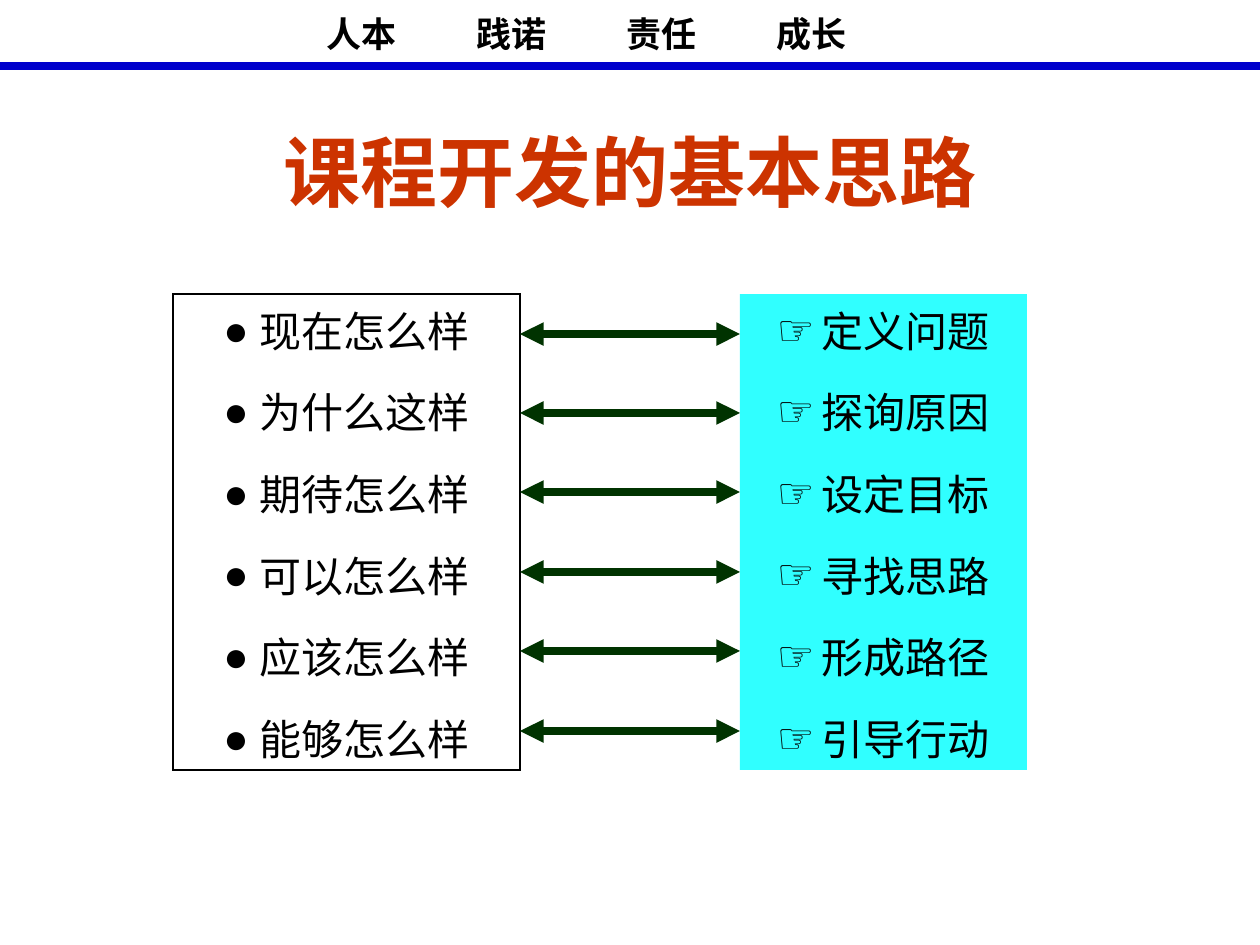
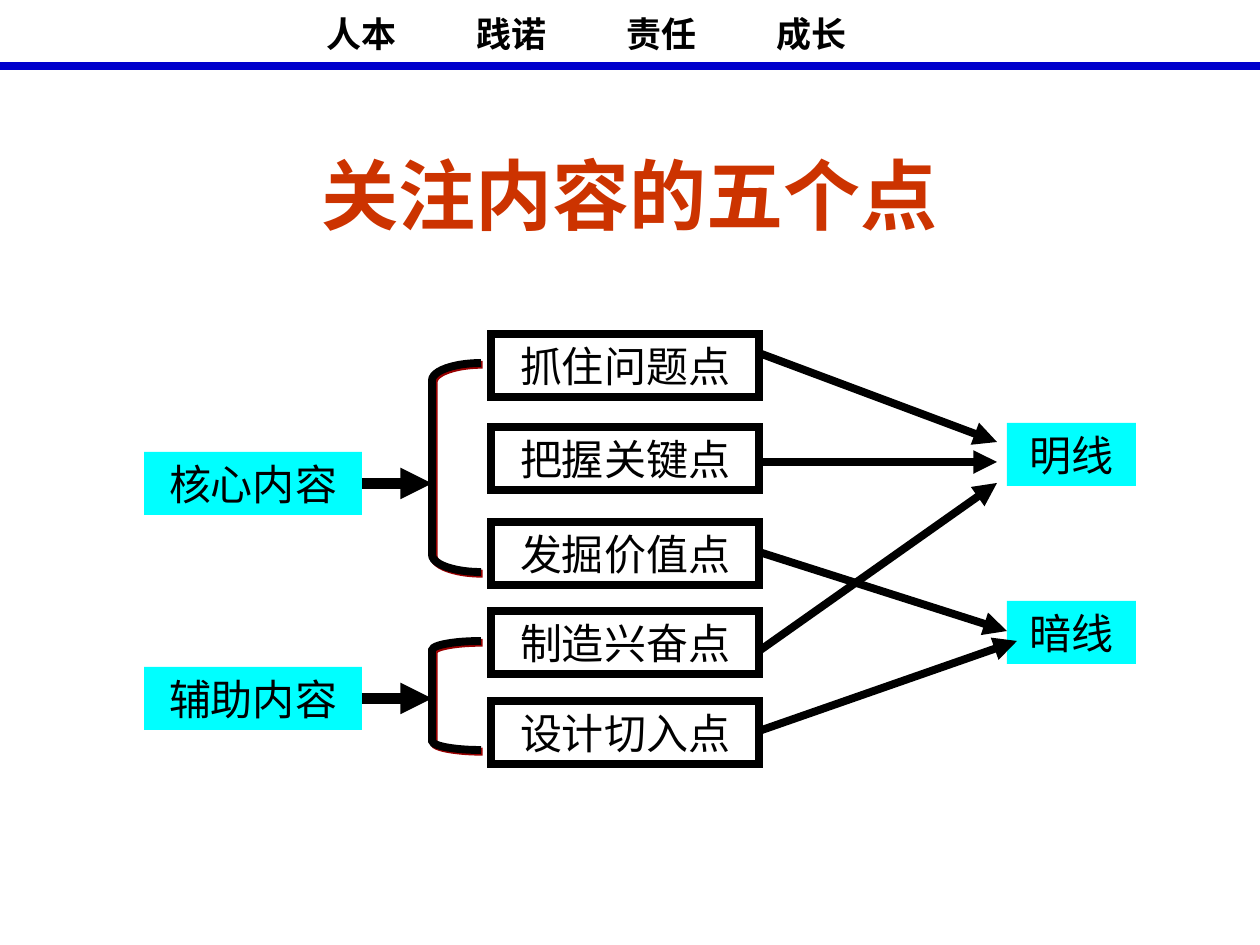
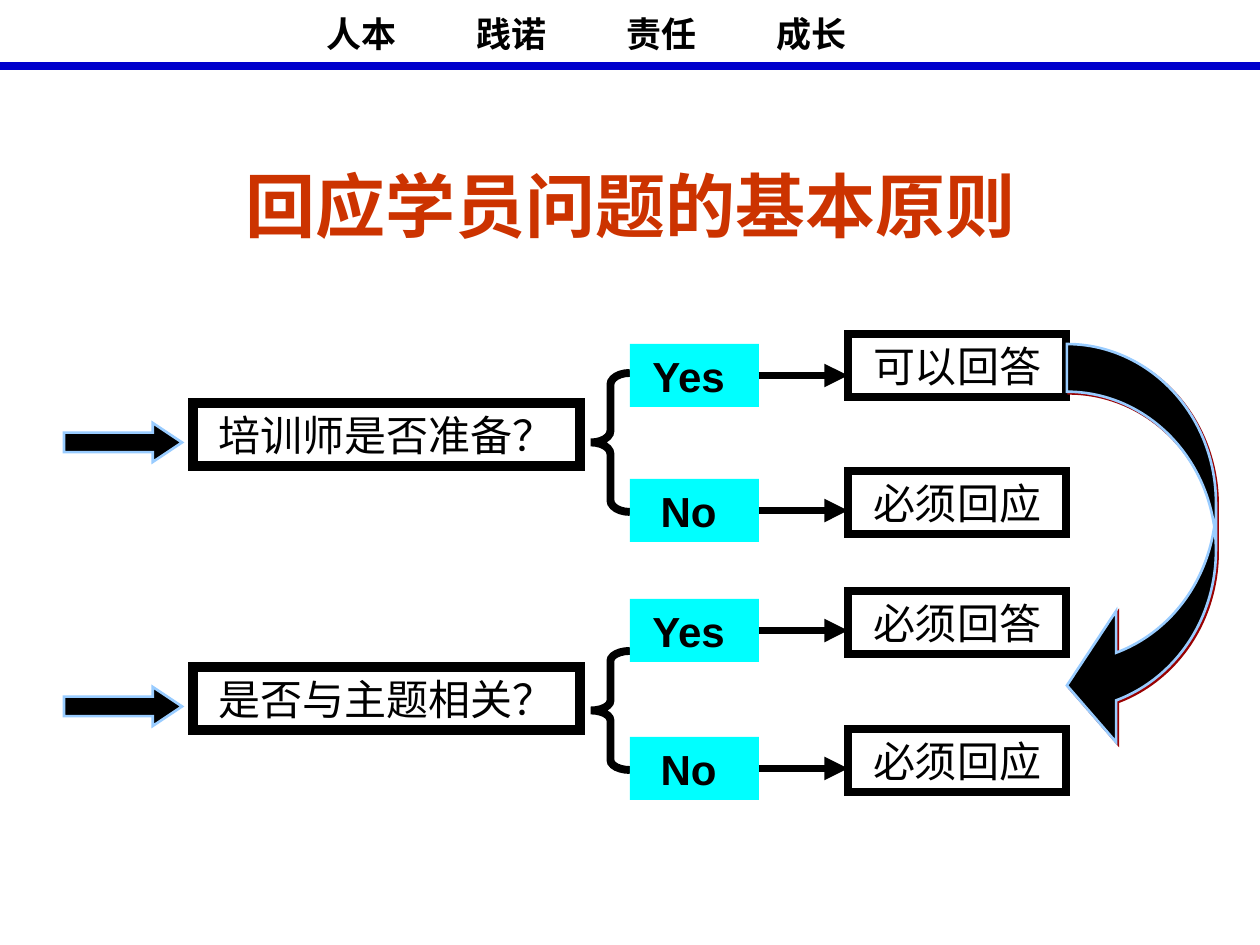
import pptx
import pptx.dml.color
import pptx.enum.shapes
import pptx.enum.text
import pptx.oxml
import pptx.oxml.ns
import pptx.util

KINDS = pptx.enum.shapes.MSO_SHAPE
ALIGN = pptx.enum.text.PP_ALIGN
ANCHOR = pptx.enum.text.MSO_ANCHOR
FIT = pptx.enum.text.MSO_AUTO_SIZE
qn = pptx.oxml.ns.qn


class Theme:
    ink = "000000"
    title = "CC3300"
    band = "0000CC"
    cyan = "00FFFF"
    green = "003300"
    sky = "99CCFF"
    shade = "990000"
    latin = "Arial"
    hans = "Noto Sans CJK SC"
    body = 24
    motto = 20
    line = 4.5
    bold = 6
    thin = 0.75
    edge = 1.5
    gap = 15


MOTTO = ["人本", "践诺", "责任", "成长"]

IDEAS = {
    "title": "课程开发的基本思路",
    "asks": ["现在怎么样", "为什么这样", "期待怎么样",
             "可以怎么样", "应该怎么样", "能够怎么样"],
    "steps": ["定义问题", "探询原因", "设定目标",
              "寻找思路", "形成路径", "引导行动"],
}

FOCUS = {
    "title": "关注内容的五个点",
    "points": [("抓住问题点", 334), ("把握关键点", 427), ("发掘价值点", 522),
               ("制造兴奋点", 611), ("设计切入点", 701)],
    # name, top, top and height of its bracket
    "parts": [("核心内容", 452, 363, 209), ("辅助内容", 667, 641, 109)],
    "threads": [("明线", 423), ("暗线", 601)],
    # start y, end x, end y
    "links": [(353, 997, 442), (462, 997, 462), (651, 997, 483),
              (552, 1007, 631), (731, 1017, 641)],
}

REPLY = {
    "title": "回应学员问题的基本原则",
    # question, top, top and height of its brace, cases
    "asks": [
        ("培训师是否准备？", 403, 373, 139,
         [("Yes ", 344, "可以回答", 334), ("No ", 479, "必须回应", 471)]),
        ("是否与主题相关？", 667, 651, 119,
         [("Yes ", 599, "必须回答", 591), ("No ", 737, "必须回应", 729)]),
    ],
}

ROW = 63  # height of every one-line box


def px(n):
    return pptx.util.Inches(n / 126)


def rgb(code):
    return pptx.dml.color.RGBColor.from_string(code)


def sub(node, tag, **attrs):
    child = node.makeelement(qn(tag), attrs)
    node.append(child)
    return child


def style(para, size, color=Theme.ink, bold=False, font=Theme.latin):
    para.alignment = ALIGN.CENTER
    for run in para.runs:
        run.font.size = pptx.util.Pt(size)
        run.font.name = font
        run.font.bold = bold
        run.font.color.rgb = rgb(color)


def paint(shape, fill=None, line=None, width=Theme.line):
    if fill:
        shape.fill.solid()
        shape.fill.fore_color.rgb = rgb(fill)
    else:
        shape.fill.background()
    if line:
        shape.line.color.rgb = rgb(line)
        shape.line.width = pptx.util.Pt(width)
        sub(shape.element.spPr.find(qn("a:ln")), "a:miter", lim="800000")
    else:
        shape.line.fill.background()


def place(shape, x, y, w, h):
    shape.left, shape.top, shape.width, shape.height = map(px, (x, y, w, h))


def draw(slide, kind, rect, fill=None, line=None, width=Theme.line, adj=()):
    shape = slide.shapes.add_shape(kind, *map(px, rect))
    shape.shadow.inherit = False
    paint(shape, fill, line, width)
    for i, value in enumerate(adj):
        shape.adjustments[i] = value
    return shape


def shade(shape):
    """Give the shape a hard shadow to the lower right."""
    cast = sub(shape.element.spPr.find(qn("a:effectLst")), "a:outerShdw",
               dist=str(pptx.util.Pt(1.4)), dir="2700000", algn="ctr",
               rotWithShape="0")
    sub(cast, "a:srgbClr", val=Theme.shade)


def label(slide, text, rect, bold=False, **look):
    shape = draw(slide, KINDS.RECTANGLE, rect, **look)
    frame = shape.text_frame
    frame.text = text
    frame.word_wrap = True
    frame.auto_size = FIT.SHAPE_TO_FIT_TEXT
    frame.vertical_anchor = ANCHOR.TOP
    style(frame.paragraphs[0], Theme.body, bold=bold)
    return shape


def link(slide, start, end, color=Theme.ink, width=Theme.line,
         ends=("tailEnd",), source=None):
    line = slide.shapes.add_connector(
        pptx.enum.shapes.MSO_CONNECTOR.STRAIGHT, *map(px, start + end))
    if source:
        line.begin_connect(source, 3)
    line.line.color.rgb = rgb(color)
    line.line.width = pptx.util.Pt(width)
    props = line.element.spPr
    for tip in ends:
        sub(props.find(qn("a:ln")), "a:" + tip, type="triangle")
    sub(props, "a:effectLst")
    return line


def header(prs, slide):
    """Draw the motto and band, then move them to the master."""
    box = slide.shapes.add_textbox(*map(px, (64, 6, 1132, 55)))
    box.text_frame.word_wrap = True
    para = box.text_frame.paragraphs[0]
    para.text = "".join("\t" + word for word in MOTTO)
    tabs = sub(para._p.get_or_add_pPr(), "a:tabLst")
    for i in range(len(MOTTO)):
        sub(tabs, "a:tab", pos=str(px(250 + i * 150)), algn="l")
    style(para, Theme.motto, bold=True, font=Theme.hans)
    para.alignment = ALIGN.LEFT
    band = link(slide, (0, 66), (1260, 66), Theme.band, ends=())
    for part in (box, band):
        prs.slide_master.shapes.element.append(part.element)


def head(slide, text, rect, size=44):
    title = slide.shapes.title
    place(title, *rect)
    title.text_frame.text = text
    title.text_frame.auto_size = FIT.NONE
    title.text_frame.vertical_anchor = ANCHOR.MIDDLE
    style(title.text_frame.paragraphs[0], size, Theme.title, True)


def bullets(body, items, mark, hang, rect):
    """Fill a centred list whose marks hang left of the text."""
    place(body, *rect)
    frame = body.text_frame
    frame.text = "\n".join(items)
    frame.word_wrap = True
    frame.auto_size = FIT.NONE
    frame.vertical_anchor = ANCHOR.TOP
    for i, para in enumerate(frame.paragraphs):
        props = para._p.get_or_add_pPr()
        props.set("marL", str(px(hang)))
        props.set("indent", str(-px(hang)))
        sub(sub(props, "a:buClr"), "a:srgbClr", val=Theme.ink)
        sub(props, "a:buFont", typeface=Theme.latin)
        sub(props, "a:buChar", char=mark)
        para.line_spacing = 1.1
        para.space_before = pptx.util.Pt(Theme.gap if i else 0)
        style(para, Theme.body, font=Theme.hans)


def ideas(slide):
    head(slide, IDEAS["title"], (63, 106, 1134, 129))
    left, right = list(slide.placeholders)[1:3]
    bullets(left, IDEAS["asks"], "●", 36, (173, 294, 347, 476))
    paint(left, line=Theme.ink, width=Theme.thin)
    bullets(right, IDEAS["steps"], "☞", 45, (740, 294, 287, 476))
    paint(right, Theme.cyan)
    tint = right.element.spPr.find(qn("a:solidFill"))[0]
    sub(tint, "a:alpha", val="81000")
    for i in range(len(IDEAS["asks"])):
        y = 334 + i * 397 // 5
        link(slide, (520, y), (740, y), Theme.green,
             ends=("headEnd", "tailEnd"))


def focus(slide):
    head(slide, FOCUS["title"], (63, 115, 1134, 158))
    for text, y in FOCUS["points"]:
        label(slide, text, (491, y, 268, ROW), line=Theme.ink)
    for text, y, top, tall in FOCUS["parts"]:
        wide = 49
        shade(draw(slide, KINDS.LEFT_BRACKET, (432, top, wide, tall),
                   line=Theme.ink, adj=[tall / 12 / wide]))
        part = label(slide, text, (144, y, 218, ROW), fill=Theme.cyan)
        mid = y + ROW / 2
        link(slide, (362, mid), (432, mid), width=Theme.bold, source=part)
    for text, y in FOCUS["threads"]:
        label(slide, text, (1007, y, 129, ROW), fill=Theme.cyan)
    for y, x2, y2 in FOCUS["links"]:
        link(slide, (759, y), (x2, y2))


def reply(slide):
    head(slide, REPLY["title"], (32, 125, 1197, 158), 40)
    for text, y, top, tall, cases in REPLY["asks"]:
        label(slide, text, (193, y, 387, ROW), line=Theme.ink,
              width=Theme.bold)
        draw(slide, KINDS.RIGHT_ARROW, (64, y + 20, 118, 39), Theme.ink,
             Theme.sky, Theme.edge, [0.5, 0.75])
        wide = 39
        draw(slide, KINDS.LEFT_BRACE, (591, top, wide, tall),
             line=Theme.ink, adj=[tall / 12 / wide, 0.5])
        for word, y1, answer, y2 in cases:
            case = label(slide, word, (630, y1, 129, ROW), True,
                         fill=Theme.cyan)
            mid = y1 + ROW / 2
            link(slide, (759, mid), (848, mid), source=case)
            label(slide, answer, (848, y2, 218, ROW), line=Theme.ink)
    shade(draw(slide, KINDS.CURVED_LEFT_ARROW, (1067, 344, 149, 407),
               Theme.ink, Theme.sky, Theme.edge, [0.32, 0.88, 0.33]))


def main():
    prs = pptx.Presentation()
    prs.slide_width, prs.slide_height = px(1260), px(945)
    pages = [(3, ideas), (5, focus), (5, reply)]
    for i, (layout, build) in enumerate(pages):
        slide = prs.slides.add_slide(prs.slide_layouts[layout])
        if i == 0:
            header(prs, slide)
        build(slide)
        for spot in list(slide.placeholders):
            if not spot.text_frame.text:
                spot.element.getparent().remove(spot.element)
    prs.save("out.pptx")


if __name__ == "__main__":
    main()
